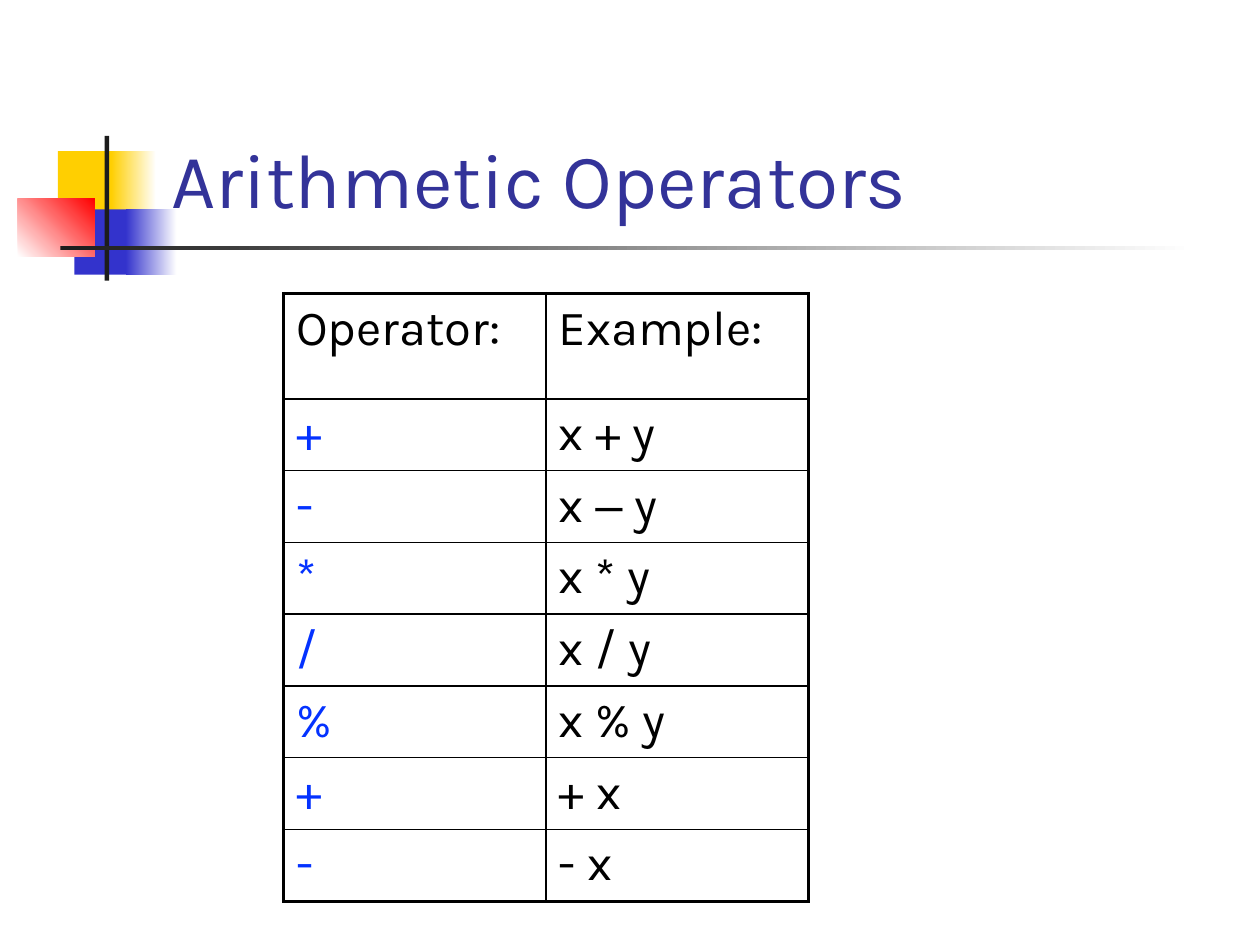
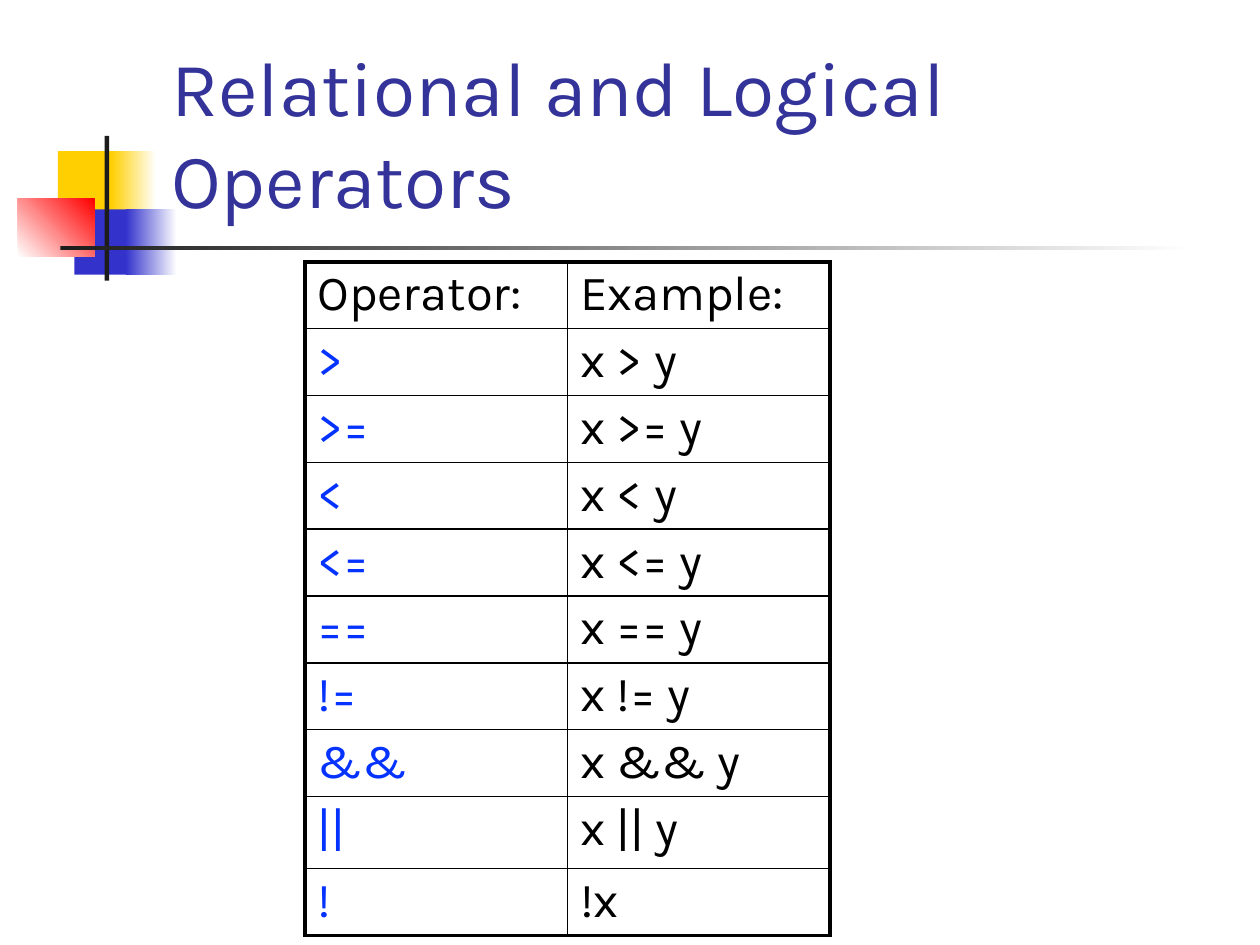
from itertools import groupby

from lxml import etree
from pptx import Presentation
from pptx.dml.color import RGBColor
from pptx.enum.shapes import MSO_SHAPE
from pptx.enum.text import MSO_ANCHOR
from pptx.oxml.ns import qn
from pptx.util import Cm, Pt

RECTANGLE = MSO_SHAPE.RECTANGLE
BOTTOM = MSO_ANCHOR.BOTTOM
WHITE = RGBColor(0xFF, 0xFF, 0xFF)
BLACK = RGBColor(0x00, 0x00, 0x00)
YELLOW = RGBColor(0xFF, 0xCF, 0x01)
BLUE = RGBColor(0x33, 0x33, 0xCC)
RED = RGBColor(0xFF, 0x00, 0x00)
CHARCOAL = RGBColor(0x1C, 0x1C, 0x1C)
TITLE_BLUE = RGBColor(0x33, 0x33, 0x99)
OPERATOR_BLUE = RGBColor(0x04, 0x32, 0xFF)
TEXT_FONT = "Karla"
DASH_FONT = "Arial"
THIN, THICK = Pt(1), Pt(2.25)
COLUMN_WIDTH = 5.29

ORNAMENT = [
    ((1.17, 3.05, 1.22, 1.32), [YELLOW], 0),
    ((2.24, 3.05, 0.91, 1.32), [YELLOW, WHITE], 0),
    ((1.5, 4.22, 1.17, 1.32), [BLUE], 0),
    ((2.54, 4.22, 1.02, 1.32), [BLUE, WHITE], 0),
    ((0.36, 4.01, 1.55, 1.17), [WHITE, RED], 45),
    ((2.11, 2.74, 0.09, 2.92), [CHARCOAL], 0),
    ((1.22, 4.95, 22.86, 0.09), [CHARCOAL, WHITE], 0),
]
HEADER = ("Operator:", "Example:")
ARITHMETIC = [("+", "x + y"), ("-", "x – y"), ("*", "x * y"), ("/", "x / y"),
              ("%", "x % y"), ("+", "+ x"), ("-", "- x")]
COMPARISONS = [(sign, f"x {sign} y")
               for sign in (">", ">=", "<", "<=", "==", "!=", "&&", "||")]
LOGICAL = COMPARISONS + [("!", "!x")]


def apply_format(target, values):
    """Set each named attribute of the target."""
    for name, value in values.items():
        setattr(target, name, value)


def write_text(paragraph, text, size, color):
    """Write text in the main font, with dashes in their own font."""
    for is_dash, letters in groupby(text, key=lambda letter: letter == "–"):
        span = paragraph.add_run()
        span.text = "".join(letters)
        apply_format(span.font, {"name": DASH_FONT if is_dash else TEXT_FONT,
                                 "size": Pt(size)})
        span.font.color.rgb = color


def add_block(page, place, colors, angle):
    """Add a borderless rectangle with a plain or two-colour fill."""
    block = page.shapes.add_shape(RECTANGLE, *map(Cm, place))
    block.shadow.inherit = False
    block.line.fill.background()
    if len(colors) == 1:
        block.fill.solid()
        block.fill.fore_color.rgb = colors[0]
        return
    block.fill.gradient()
    block.fill.gradient_angle = angle
    for stop, color in zip(block.fill.gradient_stops, colors):
        stop.color.rgb = color


def add_title(page, text):
    """Add the slide title, resting on the rule below it."""
    box = page.shapes.add_textbox(Cm(3.2), Cm(0.58), Cm(21.64), Cm(4.06))
    apply_format(box.text_frame, {"word_wrap": True, "vertical_anchor": BOTTOM})
    write_text(box.text_frame.paragraphs[0], text, 44, TITLE_BLUE)


def set_borders(cell, widths):
    """Draw black cell borders, given a width for each side tag."""
    properties = cell._tc.get_or_add_tcPr()
    for tag, width in widths.items():
        line = etree.SubElement(properties, qn(f"a:{tag}"), w=str(width))
        fill = etree.SubElement(line, qn("a:solidFill"))
        etree.SubElement(fill, qn("a:srgbClr"), val=str(BLACK))


def add_operator_table(page, left, top, heights, operators, margin):
    """Add a two-column table of operators with a thick outer frame."""
    rows = [HEADER] + operators
    table = page.shapes.add_table(len(rows), 2, Cm(left), Cm(top),
                                  Cm(2 * COLUMN_WIDTH), Cm(sum(heights))).table
    apply_format(table, {"first_row": False, "horz_banding": False})
    for column in table.columns:
        column.width = Cm(COLUMN_WIDTH)
    last = len(rows) - 1
    for i, (height, texts) in enumerate(zip(heights, rows)):
        table.rows[i].height = Cm(height)
        for j, text in enumerate(texts):
            cell = table.cell(i, j)
            apply_format(cell, {"margin_top": Cm(margin),
                                "margin_bottom": Cm(margin)})
            set_borders(cell, {"lnL": THICK if j == 0 else THIN,
                               "lnR": THICK if j == 1 else THIN,
                               "lnT": THICK if i == 0 else THIN,
                               "lnB": THICK if i == last else THIN})
            cell.fill.background()
            color = OPERATOR_BLUE if i > 0 and j == 0 else BLACK
            write_text(cell.text_frame.paragraphs[0], text, 28, color)


def add_page(deck, title):
    """Add a slide with the shared ornament and a title."""
    page = deck.slides.add_slide(deck.slide_layouts[6])
    for place, colors, angle in ORNAMENT:
        add_block(page, place, colors, angle)
    add_title(page, title)
    return page


def main():
    """Build the two operator slides."""
    deck = Presentation()
    apply_format(deck, {"slide_width": Cm(25.4), "slide_height": Cm(19.05)})
    page = add_page(deck, "Arithmetic Operators")
    add_operator_table(page, 5.72, 5.92, [2.12] + [1.41] * 7, ARITHMETIC, 0.13)
    page = add_page(deck, "Relational and Logical Operators")
    add_operator_table(page, 6.15, 5.28, [1.32] * 8 + [1.45, 1.32], LOGICAL, 0.08)
    deck.save("out.pptx")


if __name__ == "__main__":
    main()
